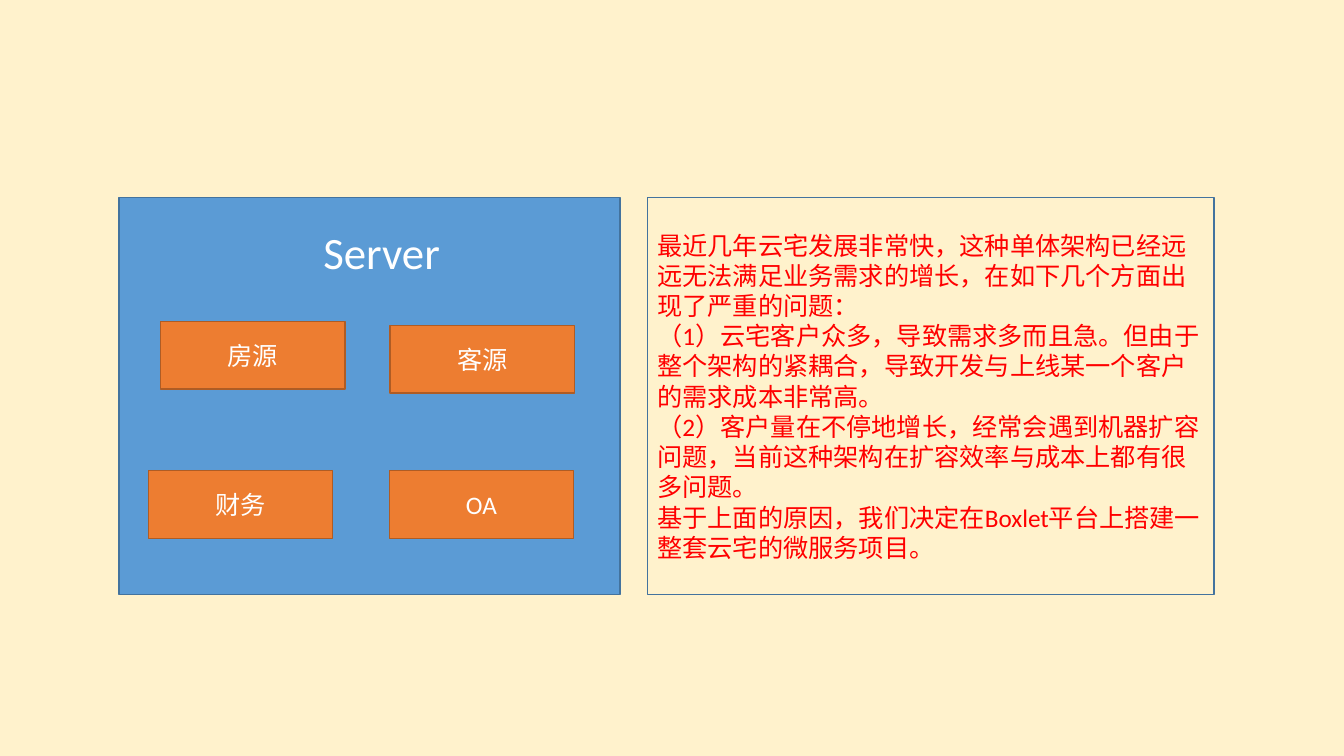
from pptx import Presentation
from pptx.dml.color import RGBColor as RGB
from pptx.enum.shapes import MSO_SHAPE as Form
from pptx.enum.text import MSO_ANCHOR as Anchor, PP_ALIGN as Align
from pptx.util import Inches, Pt

CREAM = RGB(0xFF, 0xF2, 0xCC)
BLUE = RGB(0x5B, 0x9B, 0xD5)
NAVY = RGB(0x43, 0x73, 0x9E)
AMBER = RGB(0xED, 0x7D, 0x31)
RUST = RGB(0xAF, 0x5C, 0x24)
WHITE = RGB(0xFF, 0xFF, 0xFF)
RED = RGB(0xFF, 0x00, 0x00)

TOP, TALL = 26.13, 52.53

MODULES = [
    ("房源", 11.93, 42.53),
    ("财务", 11.03, 62.27),
    ("客源", 29.03, 43.07),
    ("OA", 28.96, 62.27),
]

REASONS = [
    "最近几年云宅发展非常快，这种单体架构已经远远无法满足业务需求的增长，在如下几个方面出现了严重的问题：",
    "（1）云宅客户众多，导致需求多而且急。但由于整个架构的紧耦合，导致开发与上线某一个客户的需求成本非常高。",
    "（2）客户量在不停地增长，经常会遇到机器扩容问题，当前这种架构在扩容效率与成本上都有很多问题。",
    "基于上面的原因，我们决定在Boxlet平台上搭建一整套云宅的微服务项目。",
]


class Board:
    font = "Calibri"

    def __init__(self, deck):
        self.col = deck.slide_width / 100
        self.row = deck.slide_height / 100
        self.slide = deck.slides.add_slide(deck.slide_layouts[6])
        back = self.slide.background.fill
        back.solid()
        back.fore_color.rgb = CREAM

    def box(self, left, top, wide, tall, fill=None, edge=None):
        shape = self.slide.shapes.add_shape(
            Form.RECTANGLE,
            round(left * self.col), round(top * self.row),
            round(wide * self.col), round(tall * self.row))
        shape.shadow.inherit = False
        if fill is None:
            shape.fill.background()
        else:
            shape.fill.solid()
            shape.fill.fore_color.rgb = fill
        if edge is None:
            shape.line.fill.background()
        else:
            shape.line.color.rgb = edge
            shape.line.width = Pt(1)
        return shape

    def text(self, shape, lines, size=18, color=WHITE, align=Align.CENTER):
        frame = shape.text_frame
        frame.word_wrap = True
        frame.vertical_anchor = Anchor.MIDDLE
        for i, line in enumerate(lines):
            para = frame.add_paragraph() if i else frame.paragraphs[0]
            para.alignment = align
            run = para.add_run()
            run.text = line
            run.font.name = self.font
            run.font.size = Pt(size)
            run.font.color.rgb = color


def main():
    deck = Presentation()
    deck.slide_width, deck.slide_height = Inches(13.33), Inches(7.5)
    board = Board(deck)

    board.box(8.85, TOP, 37.28, TALL, BLUE, NAVY)
    for name, left, top in MODULES:
        board.text(board.box(left, top, 13.73, 8.93, AMBER, RUST), [name])
    board.text(board.box(20.93, 29.47, 14.93, 7.6, BLUE), ["Server"], 32)

    note = board.box(48.16, TOP, 42.16, TALL, edge=NAVY)
    board.text(note, REASONS, color=RED, align=Align.LEFT)

    deck.save("out.pptx")


if __name__ == "__main__":
    main()
